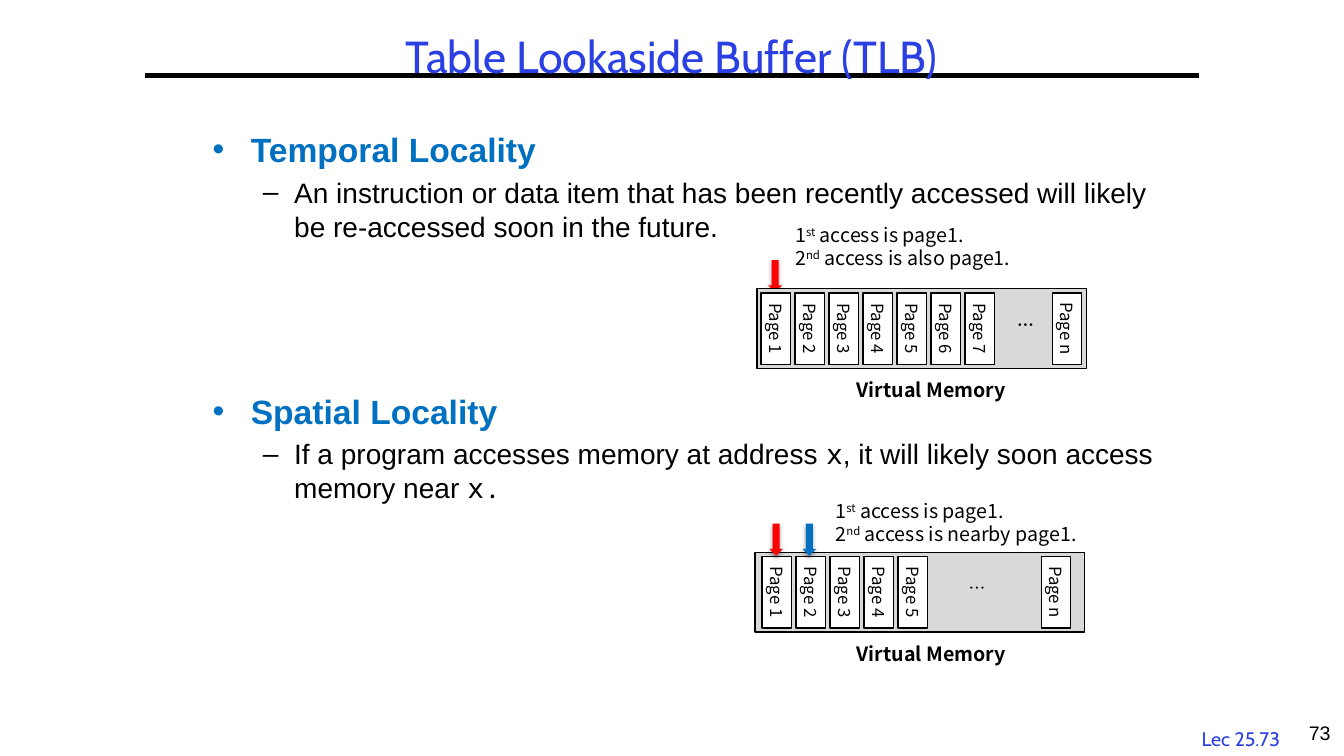
from pptx import Presentation
from pptx.dml.color import RGBColor
from pptx.enum.shapes import MSO_CONNECTOR, MSO_SHAPE
from pptx.enum.text import MSO_ANCHOR, PP_ALIGN
from pptx.oxml import parse_xml
from pptx.oxml.ns import nsdecls
from pptx.util import Inches, Pt

COLORS = {"title": "2A40E2", "heading": "0070C0", "first": "FF0000", "second": "0070C0",
          "memory": "D9D9D9", "page": "FFFFFF", "ink": "000000"}
SANS, MONO, TITLE_FONT, LABEL_FONT = "Arial", "Noto Sans Mono", "Cabin", "Noto Sans CJK KR"
COLUMNS, ROWS = 160, 90
LABEL_LEADING = 1.17
PAGE_SIZE = (8.5, 3.5)

deck = Presentation()
deck.slide_width, deck.slide_height = Inches(13.33), Inches(7.5)
column, row = deck.slide_width / COLUMNS, deck.slide_height / ROWS
page = deck.slides.add_slide(deck.slide_layouts[6])


def write(box, lines, size, font=LABEL_FONT, color="ink", bold=False,
          align=PP_ALIGN.LEFT, leading=None):
    """Fill a box with lines; each line is a list of spans, every second one raised."""
    frame = box.text_frame
    for number, line in enumerate(lines):
        paragraph = frame.paragraphs[0] if number == 0 else frame.add_paragraph()
        paragraph.alignment = align
        paragraph.line_spacing = leading or Pt(LABEL_LEADING * size)
        for place, text in enumerate(line):
            span = paragraph.add_run()
            span.text = text
            span.font.size, span.font.name, span.font.bold = Pt(size), font, bold
            span.font.color.rgb = RGBColor.from_string(COLORS[color])
            if place % 2:
                span.font._element.set("baseline", "30000")


def add_block(kind, center, size, fill, rotation=0):
    """Add a filled shape around a center given in grid columns and rows."""
    (x, y), (width, height) = center, size
    block = page.shapes.add_shape(kind, int((x - width / 2) * column), int((y - height / 2) * row),
                                  int(width * column), int(height * row))
    block.rotation = rotation
    block.fill.solid()
    block.fill.fore_color.rgb = RGBColor.from_string(COLORS[fill])
    block.shadow.inherit = False
    if kind == MSO_SHAPE.DOWN_ARROW:
        block.line.fill.background()
        effects = block._element.spPr.find("{*}effectLst")
        effects.append(parse_xml(
            f'<a:outerShdw {nsdecls("a")} blurRad="{Pt(3.1)}" dist="{Pt(1.6)}" dir="5400000" '
            'rotWithShape="0"><a:srgbClr val="000000"><a:alpha val="38000"/></a:srgbClr></a:outerShdw>'))
    else:
        block.line.color.rgb = RGBColor.from_string(COLORS["ink"])
        block.line.width = Pt(1)
    return block


# Title rule
rule = page.shapes.add_connector(MSO_CONNECTOR.STRAIGHT, int(17.28 * column), int(9 * row),
                                 int(142.68 * column), int(9 * row))
rule.line.color.rgb = RGBColor.from_string(COLORS["ink"])
rule.line.width = Pt(3)
rule._element.spPr.append(parse_xml(f'<a:effectLst {nsdecls("a")}/>'))

# Locality definitions
body = page.shapes.add_textbox(int(24.12 * column), int(14.76 * row),
                               int(115.32 * column), int(72.24 * row))
body.text_frame.word_wrap = True
outline = [
    (0, 0, ["Temporal Locality"]),
    (1, 4, ["An instruction or data item that has been recently accessed will likely "
            "be re-accessed soon in the future."]),
    (0, 105, ["Spatial Locality"]),
    (1, 4, ["If a program accesses memory at address ", "x",
            ", it will likely soon access memory near ", "x."]),
]
levels = [  # bullet, left margin, hanging indent, size, leading, color
    ("•", 0.38, 0.38, 24, 29, "heading"),
    ("–", 0.81, 0.31, 20, 24.3, "ink"),
]
for number, (level, space, texts) in enumerate(outline):
    bullet, margin, hanging, size, leading, color = levels[level]
    paragraph = body.text_frame.paragraphs[0] if number == 0 else body.text_frame.add_paragraph()
    paragraph.level = level
    properties = paragraph._p.get_or_add_pPr()
    properties.set("marL", str(Inches(margin)))
    properties.set("indent", str(-Inches(hanging)))
    properties.append(parse_xml(f'<a:buFont {nsdecls("a")} typeface="{SANS}"/>'))
    properties.append(parse_xml(f'<a:buChar {nsdecls("a")} char="{bullet}"/>'))
    paragraph.space_before, paragraph.line_spacing = Pt(space), Pt(leading)
    for place, text in enumerate(texts):
        span = paragraph.add_run()
        span.text = text
        span.font.name = MONO if place % 2 else SANS
        span.font.size, span.font.bold = Pt(size), level == 0
        span.font.color.rgb = RGBColor.from_string(COLORS[color])

# Virtual memory strips; the temporal arrow lies behind its strip
arrow_size = (1.68, 3.84)
add_block(MSO_SHAPE.DOWN_ARROW, (92.28, 32.88), arrow_size, "first")
strips = [  # strip center, first page, page count, last page
    ((109.74, 39.12), 92.34, 7, 127.02),
    ((109.5, 70.5), 92.46, 5, 125.7),
]
for center, first, count, last in strips:
    add_block(MSO_SHAPE.RECTANGLE, center, (9.48, 39.2), "memory", 90)
    places = [(str(number + 1), first + 4.05 * number) for number in range(count)]
    for name, x in places + [("n", last)]:
        block = add_block(MSO_SHAPE.RECTANGLE, (x, center[1]), PAGE_SIZE, "page", 90)
        frame = block.text_frame
        frame.margin_left = frame.margin_right = 0
        frame.vertical_anchor = MSO_ANCHOR.MIDDLE
        write(block, [[f"Page {name}"]], 12, align=PP_ALIGN.CENTER)
for x, fill in ((92.4, "first"), (96.36, "second")):
    add_block(MSO_SHAPE.DOWN_ARROW, (x, 64.25), arrow_size, fill)

# Title, access notes, labels and slide numbers
center = {"align": PP_ALIGN.CENTER}
label = {"size": 14, "bold": True}
texts = [  # left, top, width, height, wrap, lines, style
    (5.52, 3.6, 148.8, 8.52, True, [["Table Lookaside Buffer (TLB)"]],
     {"size": 32, "font": TITLE_FONT, "color": "title", "leading": 0.9, **center}),
    (93.48, 26.04, 28.56, 6.84, False,
     [["1", "st", " access is page1."], ["2", "nd", " access is also page1."]], {"size": 14}),
    (98.28, 58.92, 32.4, 6.84, False,
     [["1", "st", " access is page1."], ["2", "nd", " access is nearby page1."]], {"size": 14}),
    (100.8, 44.52, 20.28, 4.08, False, [["Virtual Memory"]], label),
    (100.8, 75.96, 20.28, 4.08, False, [["Virtual Memory"]], label),
    (117.84, 36.96, 8.5, 3.6, True, [["…"]], {"size": 12, "bold": True, **center}),
    (114.12, 68.28, 8.5, 3.6, True, [["…"]], {"size": 12}),
    (141.24, 85.92, 12.96, 3.96, False, [["Lec 25.73"]],
     {"size": 14, "font": TITLE_FONT, "color": "title", "leading": 1.0, **center}),
    (152.16, 85.2, 7.44, 4.8, True, [["73"]],
     {"size": 14, "font": SANS, "align": PP_ALIGN.RIGHT, "leading": 1.0}),
]
for left, top, width, height, wrap, lines, style in texts:
    box = page.shapes.add_textbox(int(left * column), int(top * row),
                                  int(width * column), int(height * row))
    box.text_frame.word_wrap = wrap
    write(box, lines, **style)

deck.save("out.pptx")
